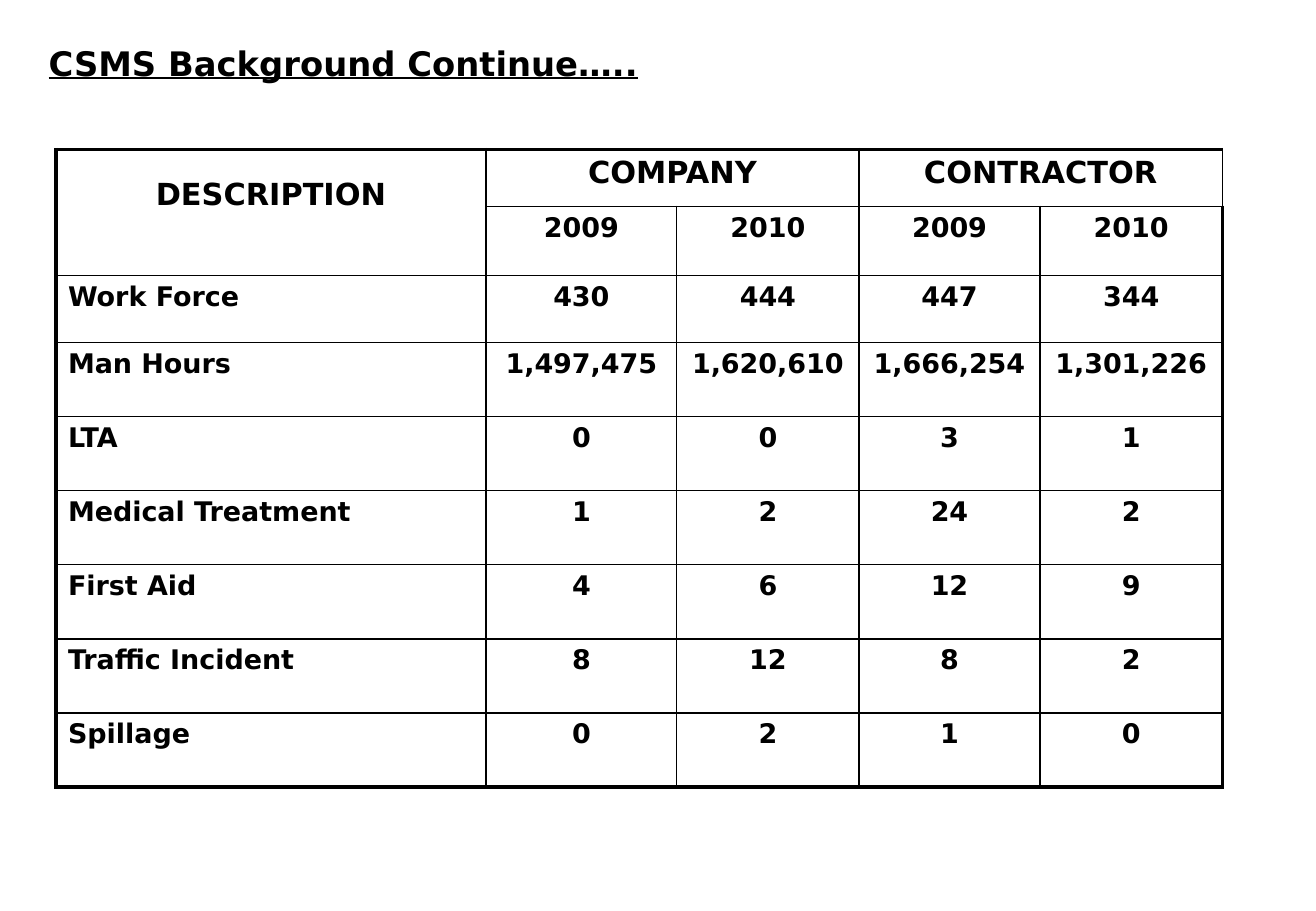
"""Build the CSMS background slide: a title and a safety statistics table."""
from lxml.etree import SubElement
from pptx import Presentation
from pptx.dml.color import RGBColor
from pptx.enum.text import MSO_ANCHOR, PP_ALIGN
from pptx.oxml.ns import qn
from pptx.util import Inches, Pt

COLORS = {"ink": "000000"}
FONT = "DejaVu Sans"
COL_WIDTHS = [3.54, 1.57, 1.5, 1.49, 1.5]
ROW_HEIGHTS = [0.47, 0.57, 0.55] + [0.61] * 6
ROWS = [
    ["DESCRIPTION", "COMPANY", "", "CONTRACTOR", ""],
    ["", "2009", "2010", "2009", "2010"],
    ["Work Force", "430", "444", "447", "344"],
    ["Man Hours", "1,497,475", "1,620,610", "1,666,254", "1,301,226"],
    ["LTA", "0", "0", "3", "1"],
    ["Medical Treatment", "1", "2", "24", "2"],
    ["First Aid", "4", "6", "12", "9"],
    ["Traffic Incident", "8", "12", "8", "2"],
    ["Spillage", "0", "2", "1", "0"],
]
LAST_ROW, LAST_COL = len(ROWS) - 1, len(COL_WIDTHS) - 1


def style_text(p, size, align):
    p.alignment = align
    for r in p.runs:
        r.font.name = FONT
        r.font.size = Pt(size)
        r.font.bold = True
        r.font.color.rgb = RGBColor.from_string(COLORS["ink"])


def set_borders(cell, widths):
    tc_pr = cell._tc.get_or_add_tcPr()
    for i, (side, width) in enumerate(widths.items()):
        ln = SubElement(tc_pr, qn(f"a:ln{side}"), w=str(Pt(width)))
        fill = SubElement(ln, qn("a:solidFill"))
        SubElement(fill, qn("a:srgbClr"), val=COLORS["ink"])
        tc_pr.insert(i, ln)


prs = Presentation()
prs.slide_width, prs.slide_height = Inches(10.83), Inches(7.5)
slide = prs.slides.add_slide(prs.slide_layouts[5])

title = slide.shapes.title
title.left, title.top = Inches(0.3), Inches(0.05)
title.width, title.height = Inches(10.53), Inches(0.94)
tf = title.text_frame
tf.text = "CSMS Background Continue….."
tf.vertical_anchor = MSO_ANCHOR.MIDDLE
style_text(tf.paragraphs[0], 20, PP_ALIGN.LEFT)
tf.paragraphs[0].runs[0].font.underline = True

table = slide.shapes.add_table(
    len(ROWS), len(COL_WIDTHS), Inches(0.46), Inches(1.23),
    Inches(sum(COL_WIDTHS)), Inches(sum(ROW_HEIGHTS))).table
table.first_row = table.horz_banding = False
for col, width in zip(table.columns, COL_WIDTHS):
    col.width = Inches(width)
for row, height in zip(table.rows, ROW_HEIGHTS):
    row.height = Inches(height)

for r, values in enumerate(ROWS):
    for c, value in enumerate(values):
        cell = table.cell(r, c)
        cell.fill.background()
        set_borders(cell, {
            "L": 2.25 if c == 0 else 1,
            "R": 2.25 if c == LAST_COL else 1,
            "T": 2.25 if r == 0 else 1,
            "B": 2.25 if r == LAST_ROW else 1,
        })
        if value:
            cell.text_frame.text = value
            is_label = c == 0 and r > 1
            style_text(cell.text_frame.paragraphs[0], 18 if r == 0 else 16,
                       PP_ALIGN.LEFT if is_label else PP_ALIGN.CENTER)

table.cell(0, 0).margin_top = Inches(0.23)
table.cell(0, 0).merge(table.cell(1, 0))
for c in (1, 3):
    table.cell(0, c).merge(table.cell(0, c + 1))

prs.save("out.pptx")
